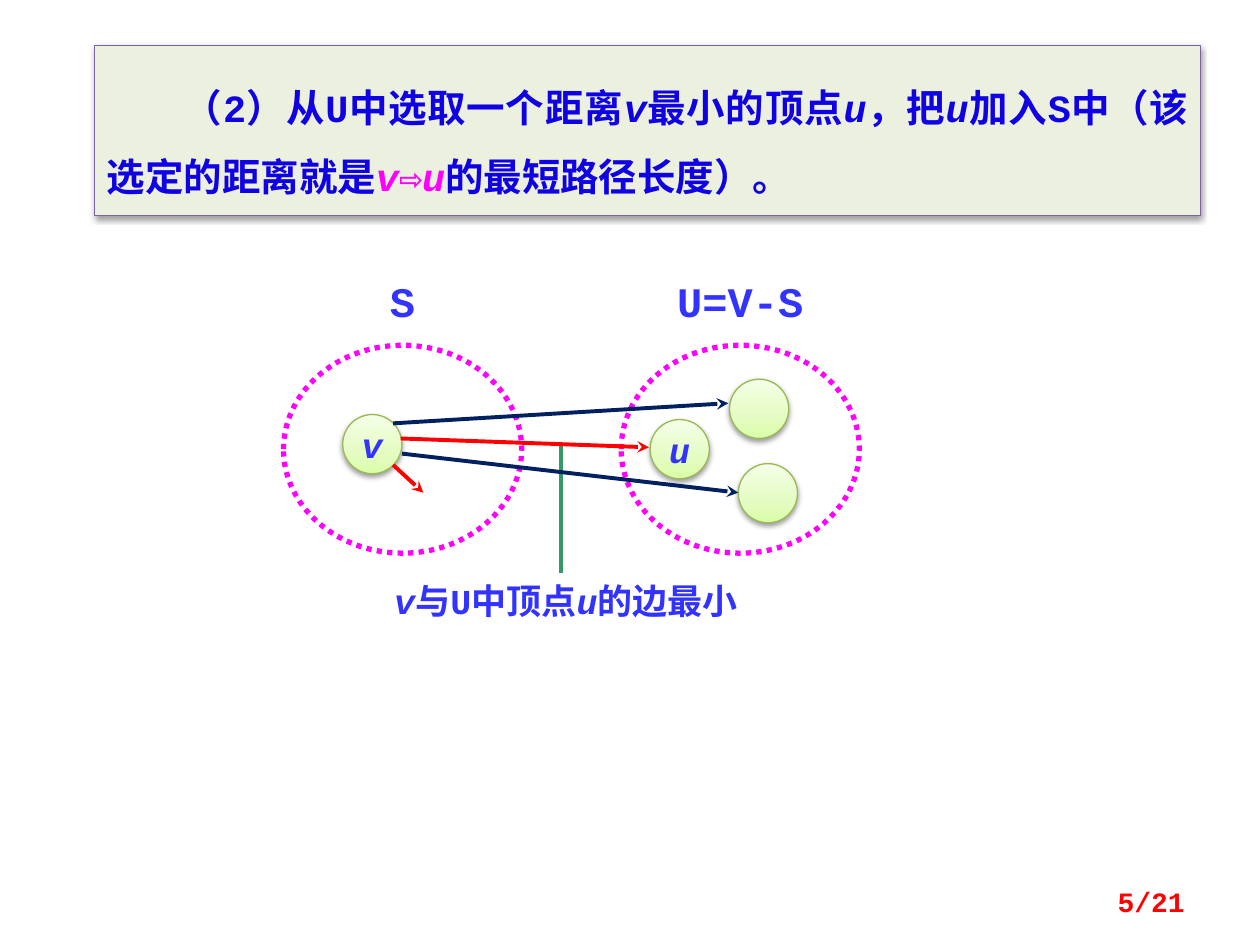
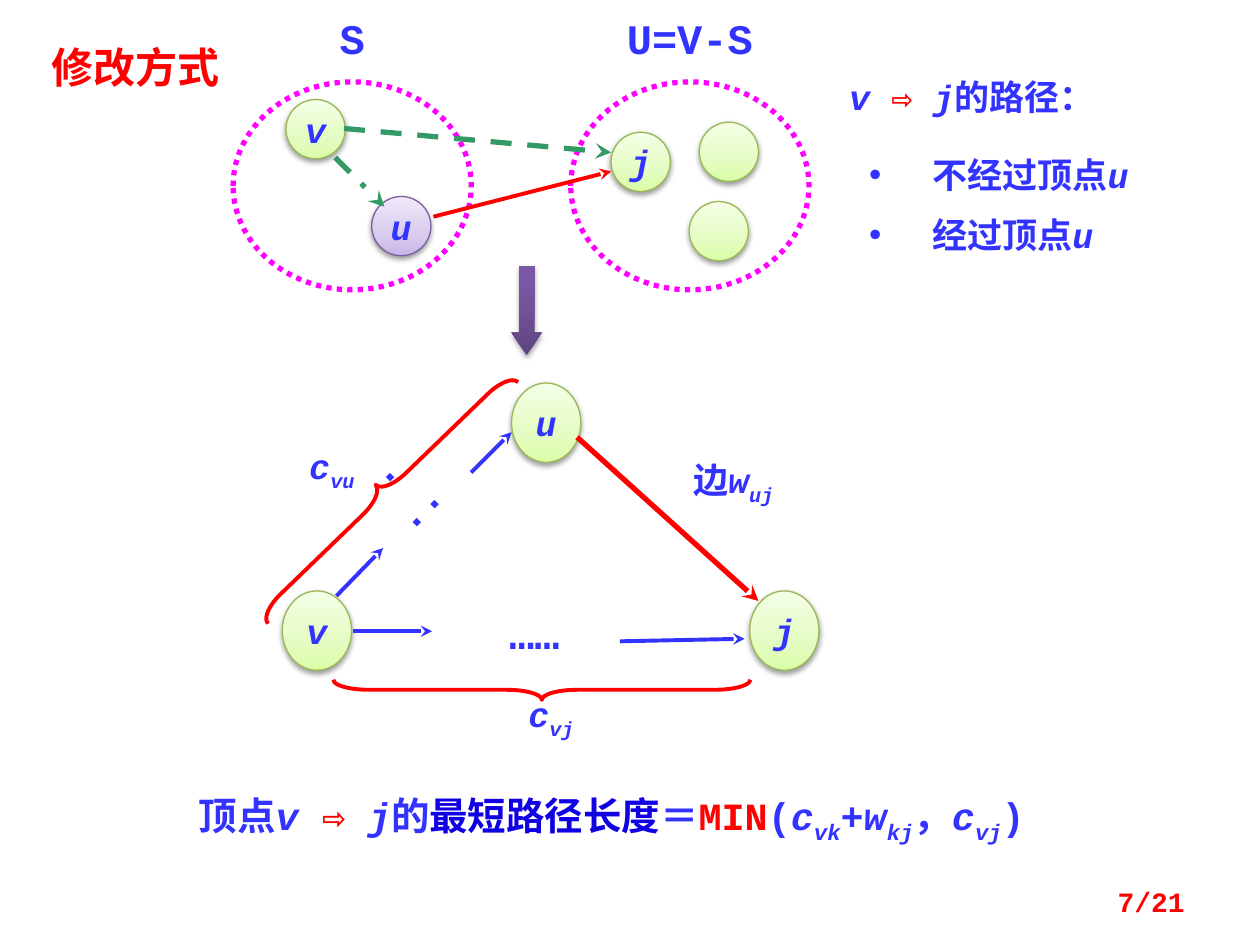
from lxml.etree import SubElement
from pptx import Presentation
from pptx.dml.color import RGBColor
from pptx.enum.dml import MSO_LINE
from pptx.enum.shapes import MSO_CONNECTOR, MSO_SHAPE
from pptx.enum.text import MSO_ANCHOR, PP_ALIGN
from pptx.oxml.ns import qn
from pptx.util import Inches, Pt

LATIN, CHINESE = "Courier New", "Noto Sans CJK SC"
BLUE, DEEP_BLUE, NAVY = "3333FF", "1000E4", "002060"
RED, MAGENTA, GREEN = "FF0000", "FF00FF", "339966"
PURPLE = "7D60A0"
# Gradient stops run from the bottom of a shape to its top.
LIME_NODE = ([(0, "DAFDA7"), (35, "E4FCC2"), (100, "F5FFE7")], "98B955")
LILAC_NODE = ([(0, "C9B5E8"), (35, "D8CBEE"), (100, "F0EAF9")], PURPLE)
ARROW_STOPS = [(0, "5F4480"), (80, "7B58A6"), (100, "7C57A8")]

SET_SIZE = (1.89, 1.65)
SETS = [("S", 0.63, 0), ("U=V-S", 1.1, 2.68)]  # label, label width, offset
SMALL, LARGE = (0.47, 0.47), (0.55, 0.63)
NO_INSETS, USUAL_INSETS = (0, 0), (0.1, 0.05)

# A span is (text, style, colour); style i is italic, s is an italic subscript.
STEP = [("（2）从U中选取一个距离",), ("v", "i"), ("最小的顶点",), ("u", "i"),
        ("，把",), ("u", "i"), ("加入S中（该选定的距离就是",),
        ("v", "i", MAGENTA), ("⇨", "", MAGENTA), ("u", "i", MAGENTA),
        ("的最短路径长度）。",)]
CAPTION = [("v", "i"), ("与U中顶点",), ("u", "i"), ("的边最小",)]
SELECT_NODES = [("v", 2.72, 3.29), ("u", 5.16, 3.33),
                ("", 5.86, 3.68), ("", 5.79, 3.01)]
# start, end, colour, width, dash
SELECT_ARROWS = [
    ((3.18, 3.48), (5.15, 3.55), RED, 2.25, None),
    ((3.12, 3.69), (3.36, 3.91), RED, 2.25, None),
    ((3.12, 3.36), (5.78, 3.2), NAVY, 2.25, None),
    ((3.19, 3.6), (5.86, 3.91), NAVY, 2.25, None),
]

UPDATE_NODES = [("v", 2.27, 0.79), ("", 5.47, 1.6),
                ("j", 4.85, 1.05), ("", 5.55, 0.97)]
TRIANGLE_NODES = [("u", 4.06, 3.04), ("v", 2.24, 4.69), ("j", 5.95, 4.69)]
UPDATE_ARROWS = [
    ((3.44, 1.72), (4.85, 1.36), RED, 2.25, None),
    ((2.73, 1.02), (4.85, 1.21), GREEN, 3, MSO_LINE.DASH),
    ((2.66, 1.25), (3.05, 1.64), GREEN, 3, MSO_LINE.DASH_DOT),
]
TRIANGLE_ARROWS = [
    ((4.58, 3.47), (6.02, 4.77), RED, 3, None),
    ((2.67, 4.73), (3.04, 4.35), BLUE, 2.25, None),
    ((3.74, 3.75), (4.06, 3.43), BLUE, 2.25, None),
    ((2.8, 5.01), (3.43, 5.01), BLUE, 2.25, None),
    ((4.92, 5.09), (5.91, 5.07), BLUE, 2.25, None),
]
# preset, place, rotation, curl of the ends
BRACES = [
    (MSO_SHAPE.LEFT_BRACE, (2.95, 2.54, 0.2, 2.76), 46, 1.171),
    (MSO_SHAPE.RIGHT_BRACE, (4.22, 3.82, 0.16, 3.31), 90, 1.763),
]
# spans, place, size, rotation
TRIANGLE_LABELS = [
    ([("...",)], (3.1, 3.9, 0.71, 0.5), 24, 135),
    ([("c", "i"), ("vu", "s")], (2.32, 3.48, 0.63, 0.44), 20, 0),
    ([("……",)], (3.73, 4.77, 1.02, 0.5), 24, 0),
    ([("c", "i"), ("vj", "s")], (4.06, 5.45, 0.63, 0.44), 20, 0),
    ([("边",), ("w", "i"), ("uj", "s")], (5.15, 3.59, 1.34, 0.44), 20, 0),
]
PATH_HEADING = [("v ", "i"), ("⇨ ", "", RED), ("j", "i"), ("的路径：",)]
PATH_CASES = [[("不经过顶点",), ("u", "i")], [("经过顶点",), ("u", "i")]]
FORMULA = [("顶点",), ("v ", "i"), ("⇨ ", "", RED), ("j", "i"), ("的",),
           ("最短路径长度", "", DEEP_BLUE), ("＝",), ("MIN", "", RED), ("(",),
           ("c", "i"), ("vk", "s"), ("+",), ("w", "i"), ("kj", "s"), ("，",),
           ("c", "i"), ("vj", "s"), (")",)]


def rgb(value):
    return RGBColor.from_string(value)


def inches(*lengths):
    return [Inches(length) for length in lengths]


def write(frame, paragraphs, size=20, color=BLUE, align=PP_ALIGN.LEFT,
          font=LATIN, bullet=None, insets=USUAL_INSETS, anchor=MSO_ANCHOR.TOP,
          wrap=True):
    """Fill a text frame with paragraphs, each a list of spans."""
    frame.word_wrap = wrap
    frame.vertical_anchor = anchor
    frame.margin_left = frame.margin_right = Inches(insets[0])
    frame.margin_top = frame.margin_bottom = Inches(insets[1])
    for index, spans in enumerate(paragraphs):
        para = frame.add_paragraph() if index else frame.paragraphs[0]
        para.alignment = align
        if index:
            para.space_before = Pt(size / 2)
        if bullet:
            properties = para._p.get_or_add_pPr()
            properties.set("marL", str(Inches(0.5)))
            properties.set("indent", str(Inches(-0.5)))
            SubElement(properties, qn("a:buFont"), typeface="Arial")
            SubElement(properties, qn("a:buChar"), char=bullet)
        para.font.name, para.font.size, para.font.bold = font, Pt(size), True
        para.font.color.rgb = rgb(color)
        SubElement(para.font._element, qn("a:ea"), typeface=CHINESE)
        for text, style, tint in [(*span, "", None)[:3] if len(span) == 1
                                  else (*span, None)[:3] for span in spans]:
            run = para.add_run()
            run.text = text
            if style:
                run.font.italic = True
            if style == "s":
                run.font._element.set("baseline", "-25000")
            if tint:
                run.font.color.rgb = rgb(tint)


def add_text(page, place, paragraphs, rotation=0, **style):
    box = page.shapes.add_textbox(*inches(*place))
    box.rotation = rotation
    write(box.text_frame, paragraphs, **style)


def add_shape(page, preset, place, line=None, width=0.75, fill=None,
              shadow=False):
    """Add a preset shape; fill is a colour, a list of stops or None."""
    shape = page.shapes.add_shape(preset, *inches(*place))
    shape.shadow.inherit = False
    if isinstance(fill, list):
        shape.fill.gradient()
        shape.fill.gradient_angle = 90
        stops = shape._element.spPr.find(".//" + qn("a:gsLst"))
        for stop in list(stops):
            stops.remove(stop)
        for position, color in fill:
            stop = SubElement(stops, qn("a:gs"), pos=str(position * 1000))
            SubElement(stop, qn("a:srgbClr"), val=color)
    elif fill:
        shape.fill.solid()
        shape.fill.fore_color.rgb = rgb(fill)
    else:
        shape.fill.background()
    if line:
        shape.line.color.rgb = rgb(line)
        shape.line.width = Pt(width)
    else:
        shape.line.fill.background()
    if shadow:
        effects = shape._element.spPr.find(qn("a:effectLst"))
        outer = SubElement(effects, qn("a:outerShdw"), blurRad=str(Pt(3.1)),
                           dist=str(Pt(1.6)), dir="5400000", rotWithShape="0")
        black = SubElement(outer, qn("a:srgbClr"), val="000000")
        SubElement(black, qn("a:alpha"), val="38000")
    return shape


def add_node(page, name, left, top, size=SMALL, look=LIME_NODE):
    stops, outline = look
    node = add_shape(page, MSO_SHAPE.OVAL, (left, top, *size), outline,
                     fill=stops, shadow=True)
    if name:
        write(node.text_frame, [[(name, "i")]], align=PP_ALIGN.CENTER,
              anchor=MSO_ANCHOR.MIDDLE, wrap=False)


def add_line(page, start, end, color, width, dash=None, arrow=True):
    line = page.shapes.add_connector(MSO_CONNECTOR.STRAIGHT,
                                     *inches(*start, *end))
    line.line.color.rgb = rgb(color)
    line.line.width = Pt(width)
    if dash:
        line.line.dash_style = dash
    if arrow:
        SubElement(line.line._get_or_add_ln(), qn("a:tailEnd"), type="stealth")
    SubElement(line._element.spPr, qn("a:effectLst"))


def add_vertex_sets(page, left, top):
    """Draw the dotted sets S and U with their labels above."""
    width, height = SET_SIZE
    for label, label_width, offset in SETS:
        ring = add_shape(page, MSO_SHAPE.OVAL,
                         (left + offset, top, width, height), MAGENTA, 3)
        ring.line.dash_style = MSO_LINE.ROUND_DOT
        label_left = left + offset + (width - label_width) / 2
        add_text(page, (label_left, top - 0.55, label_width, 0.4), [[(label,)]],
                 size=24, align=PP_ALIGN.CENTER, insets=NO_INSETS)


def add_page_number(page, number):
    add_text(page, (7.17, 6.95, 2.33, 0.4), [[(f"{number}/21",)]], size=16,
             color=RED, align=PP_ALIGN.RIGHT, anchor=MSO_ANCHOR.MIDDLE)


def build_selection(page):
    add_vertex_sets(page, 2.25, 2.74)
    panel = add_shape(page, MSO_SHAPE.RECTANGLE, (0.75, 0.36, 8.78, 1.35),
                      PURPLE, fill="EBF1DE", shadow=True)
    write(panel.text_frame, [STEP], size=22, color=DEEP_BLUE,
          align=PP_ALIGN.JUSTIFY, insets=(0.1, 0.12))
    para = panel.text_frame.paragraphs[0]
    para.line_spacing = 1.5
    para._p.get_or_add_pPr().set("indent", str(Pt(44)))
    for node in SELECT_NODES:
        add_node(page, *node)
    add_text(page, (3.03, 4.55, 2.99, 0.43), [CAPTION])
    add_line(page, (4.45, 3.53), (4.45, 4.55), GREEN, 2.25, arrow=False)
    for arrow in SELECT_ARROWS:
        add_line(page, *arrow)
    add_page_number(page, 5)


def build_update(page):
    add_text(page, (1.48, 6.24, 7.11, 0.47), [FORMULA], size=22)
    add_vertex_sets(page, 1.85, 0.65)
    for node in UPDATE_NODES:
        add_node(page, *node)
    add_node(page, "u", 2.95, 1.56, look=LILAC_NODE)
    for node in TRIANGLE_NODES:
        add_node(page, *node, size=LARGE)
    for arrow in UPDATE_ARROWS + TRIANGLE_ARROWS:
        add_line(page, *arrow)
    for preset, place, rotation, curl in BRACES:
        brace = add_shape(page, preset, place, RED, 2.25)
        brace.rotation = rotation
        brace.adjustments[0] = curl
    for spans, place, size, rotation in TRIANGLE_LABELS:
        add_text(page, place, [spans], rotation, size=size,
                 align=PP_ALIGN.CENTER)
    down = add_shape(page, MSO_SHAPE.DOWN_ARROW, (4.06, 2.11, 0.24, 0.71),
                     fill=ARROW_STOPS, shadow=True)
    down.adjustments[0], down.adjustments[1] = 0.5, 0.75
    add_text(page, (6.64, 0.55, 2.73, 0.44), [PATH_HEADING])
    add_text(page, (6.8, 1.17, 2.58, 0.94), PATH_CASES, bullet="•")
    add_text(page, (0.31, 0.28, 1.64, 0.5), [[("修改方式",)]], size=24,
             color=RED, font=CHINESE)
    add_page_number(page, 7)


def main():
    deck = Presentation()
    deck.slide_width, deck.slide_height = inches(10, 7.5)
    for build in (build_selection, build_update):
        build(deck.slides.add_slide(deck.slide_layouts[6]))
    deck.save("out.pptx")


if __name__ == "__main__":
    main()
